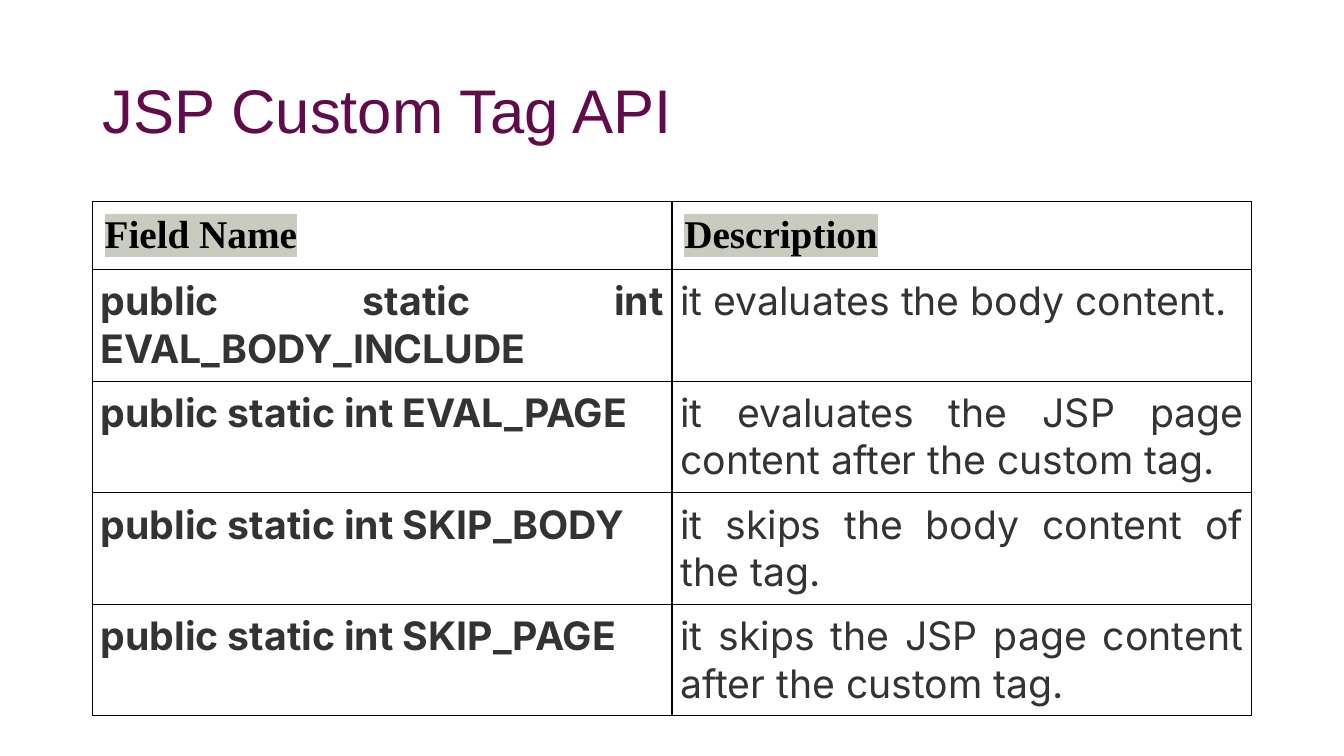
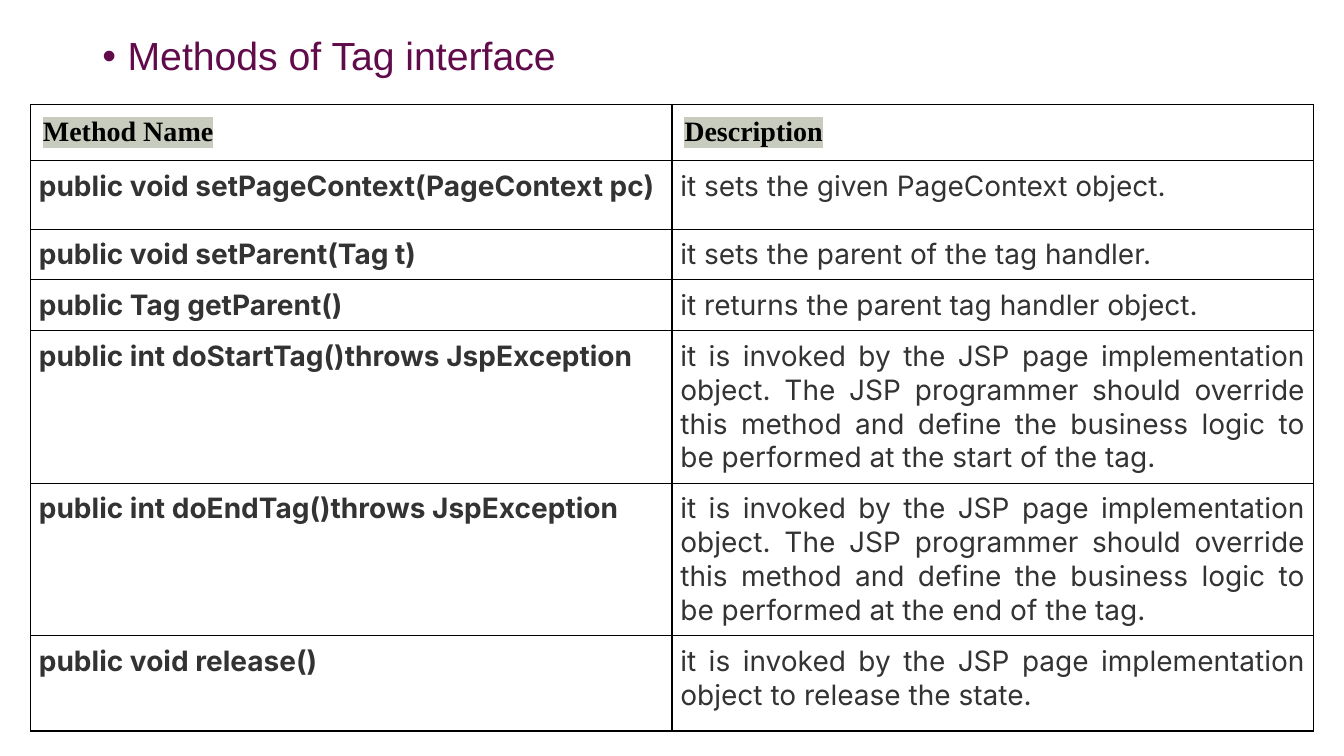
from lxml import etree
from pptx import Presentation, util as u
from pptx.dml import color
from pptx.enum import text
from pptx.oxml import ns

PAGE_WIDTH, PAGE_HEIGHT = 960, 540
HEADING_LEFT = 66
HEADING_WIDTH = PAGE_WIDTH - 2 * HEADING_LEFT
HEADER_INSET, BODY_INSET = 8.8, 6
BULLET_INDENT = 18
BORDER_WIDTH = 1

PLUM, BLACK, GREY, SAGE = "610B4B", "000000", "333333", "C7CCBE"
HEADING_FONT, HEADER_FONT, BODY_FONT = "Arial", "Times New Roman", "Inter"

INVOKED = "it is invoked by the JSP page implementation object"
OVERRIDE = (
    INVOKED + ". The JSP programmer should override this method and define "
    "the business logic to be performed at the {} of the tag."
)

FIELDS = [
    ("Field Name", "Description"),
    ("public static int EVAL_BODY_INCLUDE", "it evaluates the body content."),
    ("public static int EVAL_PAGE",
     "it evaluates the JSP page content after the custom tag."),
    ("public static int SKIP_BODY", "it skips the body content of the tag."),
    ("public static int SKIP_PAGE",
     "it skips the JSP page content after the custom tag."),
]
FIELD_HEIGHTS = [48] + [79.6] * 4

METHODS = [
    ("Method Name", "Description"),
    ("public void setPageContext(PageContext pc)",
     "it sets the given PageContext object."),
    ("public void setParent(Tag t)", "it sets the parent of the tag handler."),
    ("public Tag getParent()", "it returns the parent tag handler object."),
    ("public int doStartTag()throws JspException", OVERRIDE.format("start")),
    ("public int doEndTag()throws JspException", OVERRIDE.format("end")),
    ("public void release()", INVOKED + " to release the state."),
]
METHOD_HEIGHTS = [40, 49, 36, 36, 109, 109, 68]


def rgb(value):
    return color.RGBColor.from_string(value)


def add_colour(parent, tag, value):
    node = etree.SubElement(parent, ns.qn(tag))
    etree.SubElement(node, ns.qn("a:srgbClr"), val=value)
    return node


class TagDeck:
    """Holds the deck, its style and the current slide."""

    def __init__(self):
        self.deck = Presentation()
        self.deck.slide_width = u.Pt(PAGE_WIDTH)
        self.deck.slide_height = u.Pt(PAGE_HEIGHT)
        self.page = None

    def add_page(self, layout):
        self.page = self.deck.slides.add_slide(
            self.deck.slide_layouts.get_by_name(layout))

    def style(self, para, size, face, hue, bold=False):
        for span in para.runs:
            span.font.size = u.Pt(size)
            span.font.name = face
            span.font.bold = bold
            span.font.color.rgb = rgb(hue)

    def highlight(self, para, hue):
        for span in para.runs:
            props = span._r.get_or_add_rPr()
            marker = add_colour(props, "a:highlight", hue)
            props.find(ns.qn("a:solidFill")).addnext(marker)

    def heading(self, box, wording, top, height, size):
        box.left, box.top = u.Pt(HEADING_LEFT), u.Pt(top)
        box.width, box.height = u.Pt(HEADING_WIDTH), u.Pt(height)
        frame = box.text_frame
        frame.text = wording
        frame.auto_size = text.MSO_AUTO_SIZE.NONE
        para = frame.paragraphs[0]
        para.alignment = text.PP_ALIGN.LEFT
        para.line_spacing = 0.9
        self.style(para, size, HEADING_FONT, PLUM)
        return para

    def title(self, wording):
        box = self.page.shapes.title
        self.heading(box, wording, top=29, height=104, size=44)
        box.text_frame.vertical_anchor = text.MSO_ANCHOR.MIDDLE

    def bullet(self, wording):
        unused_title = self.page.shapes.title.element
        unused_title.getparent().remove(unused_title)
        box = self.page.placeholders[1]
        para = self.heading(box, wording, top=22.6, height=464, size=28)
        para.space_before = u.Pt(10)
        props = para._p.get_or_add_pPr()
        props.set("marL", str(u.Pt(BULLET_INDENT)))
        props.set("indent", str(u.Pt(-BULLET_INDENT)))
        etree.SubElement(props, ns.qn("a:buChar"), char="•")

    def table(self, rows, heights, left, top, size):
        width = PAGE_WIDTH - 2 * left
        grid = self.page.shapes.add_table(
            len(rows), len(rows[0]), u.Pt(left), u.Pt(top),
            u.Pt(width), u.Pt(sum(heights))).table
        for column in grid.columns:
            column.width = u.Pt(width / len(rows[0]))
        for row_index, (row, height) in enumerate(zip(rows, heights)):
            grid.rows[row_index].height = u.Pt(height)
            for column_index, wording in enumerate(row):
                cell = grid.cell(row_index, column_index)
                if row_index == 0:
                    self.header_cell(cell, wording, size)
                else:
                    self.body_cell(cell, wording, size, column_index == 0)

    def header_cell(self, cell, wording, size):
        para = self.fill_cell(cell, wording, HEADER_INSET)
        self.style(para, size, HEADER_FONT, BLACK, bold=True)
        self.highlight(para, SAGE)

    def body_cell(self, cell, wording, size, bold):
        para = self.fill_cell(cell, wording, BODY_INSET)
        para.alignment = text.PP_ALIGN.JUSTIFY
        self.style(para, size, BODY_FONT, GREY, bold)

    def fill_cell(self, cell, wording, inset):
        cell.text_frame.text = wording
        cell.margin_left = cell.margin_right = u.Pt(inset)
        cell.margin_top = cell.margin_bottom = u.Pt(inset)
        cell.fill.background()
        self.borders(cell)
        return cell.text_frame.paragraphs[0]

    def borders(self, cell):
        props = cell._tc.get_or_add_tcPr()
        for index, side in enumerate("LRTB"):
            edge = etree.Element(ns.qn("a:ln" + side), w=str(u.Pt(BORDER_WIDTH)))
            add_colour(edge, "a:solidFill", BLACK)
            props.insert(index, edge)


def main():
    tags = TagDeck()

    tags.add_page("Title Only")
    tags.title("JSP Custom Tag API")
    tags.table(FIELDS, FIELD_HEIGHTS, left=66, top=144, size=28)

    tags.add_page("Title and Content")
    tags.bullet("Methods of Tag interface")
    tags.table(METHODS, METHOD_HEIGHTS, left=21.8, top=74.7, size=20)

    tags.deck.save("out.pptx")


if __name__ == "__main__":
    main()
